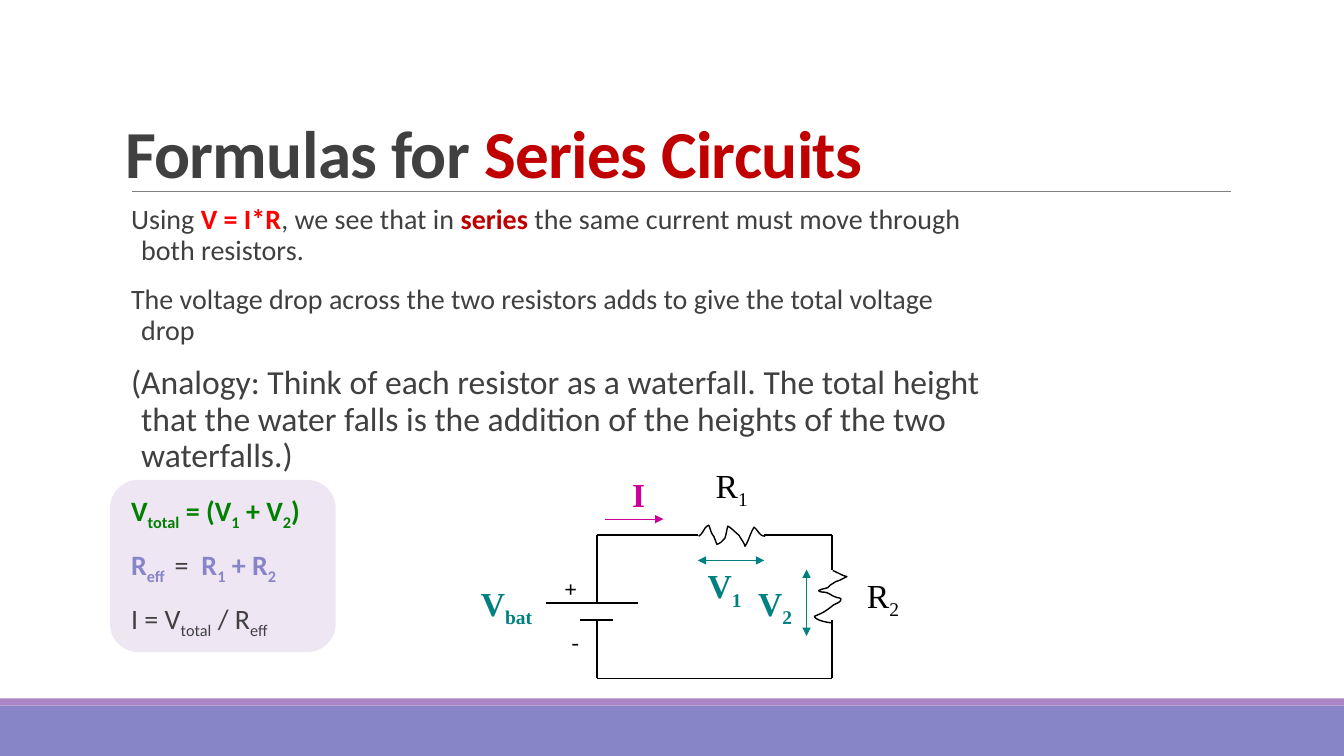
from lxml.etree import SubElement
from pptx import Presentation
from pptx.dml.color import RGBColor
from pptx.enum.shapes import MSO_CONNECTOR, MSO_SHAPE
from pptx.enum.text import MSO_ANCHOR, MSO_AUTO_SIZE, PP_ALIGN
from pptx.oxml.ns import qn
from pptx.util import Inches, Pt

DARK = RGBColor(0x40, 0x40, 0x40)
GRAY = RGBColor(0x80, 0x80, 0x80)
BLACK = RGBColor(0, 0, 0)
CRIMSON = RGBColor(0xC0, 0, 0)
RED = RGBColor(0xFF, 0, 0)
GREEN = RGBColor(0, 0x80, 0)
TEAL = RGBColor(0, 0x80, 0x80)
MAGENTA = RGBColor(0xCC, 0, 0x99)
PERIWINKLE = RGBColor(0x87, 0x84, 0xC7)
PURPLE = RGBColor(0xAD, 0x84, 0xC6)
LILAC = RGBColor(0xEF, 0xE6, 0xF4)


def add_spans(para, pieces, size, font, color, bold=False):
    """Add text pieces in one style; a piece starting with _ is a subscript."""
    for piece in pieces:
        span = para.add_run()
        span.text = piece.removeprefix("_")
        span.font.size = Pt(size)
        span.font.name = font
        span.font.bold = bold
        span.font.color.rgb = color
        if piece.startswith("_"):
            span._r.get_or_add_rPr().set("baseline", "-25000")


def add_line(start, end, color, width, arrows=()):
    """Draw a straight line with triangles at the named ends."""
    ends = [Inches(value) for value in (*start, *end)]
    line = page.shapes.add_connector(MSO_CONNECTOR.STRAIGHT, *ends)
    line.line.color.rgb = color
    line.line.width = Pt(width)
    for arrow in arrows:
        SubElement(line.line._get_or_add_ln(), qn(f"a:{arrow}"), type="triangle")
    SubElement(line._element.spPr, qn("a:effectLst"))


deck = Presentation()
deck.slide_width = Inches(13.33)
deck.slide_height = Inches(7.5)
page = deck.slides.add_slide(deck.slide_layouts[1])
title, body = page.placeholders

# Footer bands, title rule and formula card
for preset, place, color in [
    (MSO_SHAPE.RECTANGLE, (0, 7, 13.33, 0.5), PERIWINKLE),
    (MSO_SHAPE.RECTANGLE, (0, 6.93, 13.33, 0.07), PURPLE),
    (MSO_SHAPE.ROUNDED_RECTANGLE, (1.09, 4.76, 2.24, 1.71), LILAC),
]:
    box = page.shapes.add_shape(preset, *[Inches(value) for value in place])
    box.fill.solid()
    box.fill.fore_color.rgb = color
    box.line.fill.background()
    box.shadow.inherit = False
add_line((1.31, 1.9), (12.21, 1.9), GRAY, 0.5)

# Title and body stand in front of the card
for holder, top, left, height in [(title, 0.71, 1.14, 1.25), (body, 1.99, 1.3, 4.5)]:
    holder.left, holder.top = Inches(left), Inches(top)
    holder.width, holder.height = Inches(8.5), Inches(height)
    holder.text_frame.word_wrap = True
    holder.text_frame.auto_size = MSO_AUTO_SIZE.NONE
    page.shapes._spTree.append(holder._element)

title.text_frame.vertical_anchor = MSO_ANCHOR.BOTTOM
heading = title.text_frame.paragraphs[0]
heading.alignment = PP_ALIGN.LEFT
heading.line_spacing = 0.85
add_spans(heading, ["Formulas for "], 48, "Calibri", DARK, True)
add_spans(heading, ["Series Circuits"], 48, "Calibri", CRIMSON, True)
for span in heading.runs:
    span._r.get_or_add_rPr().set("spc", "-50")

body.text_frame.margin_left = body.text_frame.margin_right = 0
body.text_frame.vertical_anchor = MSO_ANCHOR.TOP
body_paragraphs = [
    (20, [
        (["Using "], DARK, False),
        (["V = I*R"], RED, True),
        ([", we see that in "], DARK, False),
        (["series"], CRIMSON, True),
        ([" the same current must move through both resistors. "], DARK, False),
    ]),
    (20, [(["The voltage drop across the two resistors adds to give the "
            "total voltage drop"], DARK, False)]),
    (24, [(["(Analogy: Think of each resistor as a waterfall. The total height "
            "that the water falls is the addition of the heights of the two "
            "waterfalls.)"], DARK, False)]),
    (20, [(["V", "_total", " = (V", "_1", " + V", "_2", ")"], GREEN, True)]),
    (20, [
        (["R", "_eff "], PERIWINKLE, True),
        ([" = "], DARK, False),
        ([" R", "_1", " + R", "_2"], PERIWINKLE, True),
    ]),
    (20, [(["I = V", "_total", " / R", "_eff"], DARK, False)]),
]
for index, (size, groups) in enumerate(body_paragraphs):
    frame = body.text_frame
    para = frame.add_paragraph() if index else frame.paragraphs[0]
    para.alignment = PP_ALIGN.LEFT
    para.line_spacing = 0.9
    para.space_before, para.space_after = Pt(12), Pt(2)
    properties = para._p.get_or_add_pPr()
    properties.set("marL", str(Inches(0.1)))
    properties.set("indent", str(Inches(-0.1)))
    SubElement(properties, qn("a:buNone"))
    for pieces, color, bold in groups:
        add_spans(para, pieces, size, "Calibri", color, bold)

# Battery plates and wires
LEFT, RIGHT, TOP, BOTTOM = 5.92, 8.25, 5.31, 6.73
for start, end in [
    ((5.42, 5.98), (6.33, 5.98)),
    ((5.75, 6.15), (6.08, 6.15)),
    ((LEFT, 5.98), (LEFT, TOP)),
    ((LEFT, TOP), (6.92, TOP)),
    ((7.58, TOP), (RIGHT, TOP)),
    ((RIGHT, TOP), (RIGHT, 5.65)),
    ((RIGHT, 6.15), (RIGHT, BOTTOM)),
    ((RIGHT, BOTTOM), (LEFT, BOTTOM)),
    ((LEFT, BOTTOM), (LEFT, 6.15)),
]:
    add_line(start, end, BLACK, 1.25)

# Resistors: each row of three points continues a cubic curve
resistor_1 = [
    (6.93, 5.32),
    (6.98, 5.29), (6.98, 5.23), (7.03, 5.21),
    (7.05, 5.25), (7.05, 5.29), (7.08, 5.32),
    (7.09, 5.35), (7.1, 5.37), (7.11, 5.4),
    (7.15, 5.39), (7.16, 5.37), (7.19, 5.34),
    (7.21, 5.28), (7.21, 5.24), (7.22, 5.22),
    (7.27, 5.25), (7.29, 5.28), (7.33, 5.31),
    (7.35, 5.35), (7.38, 5.38), (7.39, 5.42),
    (7.43, 5.36), (7.44, 5.29), (7.48, 5.23),
    (7.52, 5.26), (7.53, 5.32), (7.59, 5.32),
]
resistor_2 = [
    (8.26, 5.66),
    (8.31, 5.68), (8.35, 5.71), (8.4, 5.72),
    (8.36, 5.74), (8.33, 5.76), (8.29, 5.77),
    (8.23, 5.81), (8.25, 5.79), (8.21, 5.83),
    (8.19, 5.84), (8.15, 5.84), (8.12, 5.86),
    (8.14, 5.88), (8.17, 5.87), (8.2, 5.88),
    (8.23, 5.89), (8.25, 5.91), (8.28, 5.92),
    (8.3, 5.93), (8.33, 5.93), (8.34, 5.94),
    (8.35, 5.97), (8.29, 5.99), (8.27, 6),
    (8.22, 6.04), (8.17, 6.08), (8.11, 6.1),
    (8.1, 6.11), (8.07, 6.11), (8.08, 6.12),
    (8.1, 6.16), (8.23, 6.18), (8.26, 6.18),
]
STEPS = 6
for points in (resistor_1, resistor_2):
    outline = []
    for first in range(0, len(points) - 1, 3):
        for step in range(1, STEPS + 1):
            t = step / STEPS
            weights = ((1 - t) ** 3, 3 * t * (1 - t) ** 2, 3 * t ** 2 * (1 - t), t ** 3)
            curve = list(zip(weights, points[first:first + 4]))
            outline.append([Inches(sum(w * p[axis] for w, p in curve)) for axis in (0, 1)])
    builder = page.shapes.build_freeform(*[Inches(value) for value in points[0]])
    builder.add_line_segments(outline, close=False)
    zigzag = builder.convert_to_shape()
    zigzag.fill.background()
    zigzag.line.color.rgb = BLACK
    zigzag.line.width = Pt(1)
    zigzag.shadow.inherit = False

# Current and voltage arrows
add_line((6, 5.15), (6.58, 5.15), MAGENTA, 0.75, ["tailEnd"])
add_line((6.92, 5.56), (7.58, 5.56), TEAL, 0.75, ["headEnd", "tailEnd"])
add_line((8, 5.65), (8, 6.31), TEAL, 0.75, ["headEnd", "tailEnd"])

# Circuit labels
for left, top, width, height, pieces, size, color, bold in [
    (4.67, 5.73, 0.92, 0.5, ["V", "_bat"], 24, TEAL, True),
    (7, 4.56, 0.67, 0.5, ["R", "_1"], 24, BLACK, False),
    (8.5, 5.65, 0.75, 0.5, ["R", "_2"], 24, BLACK, False),
    (5.5, 5.66, 0.33, 0.37, ["+"], 16, BLACK, True),
    (5.57, 6.18, 0.42, 0.37, ["-"], 16, BLACK, False),
    (6.17, 4.65, 0.42, 0.5, ["I"], 24, MAGENTA, True),
    (6.92, 5.56, 0.67, 0.5, ["V", "_1"], 24, TEAL, True),
    (7.42, 5.73, 0.67, 0.5, ["V", "_2"], 24, TEAL, True),
]:
    label = page.shapes.add_textbox(Inches(left), Inches(top), Inches(width), Inches(height))
    label.text_frame.word_wrap = True
    add_spans(label.text_frame.paragraphs[0], pieces, size, "Times New Roman", color, bold)

deck.save("out.pptx")
